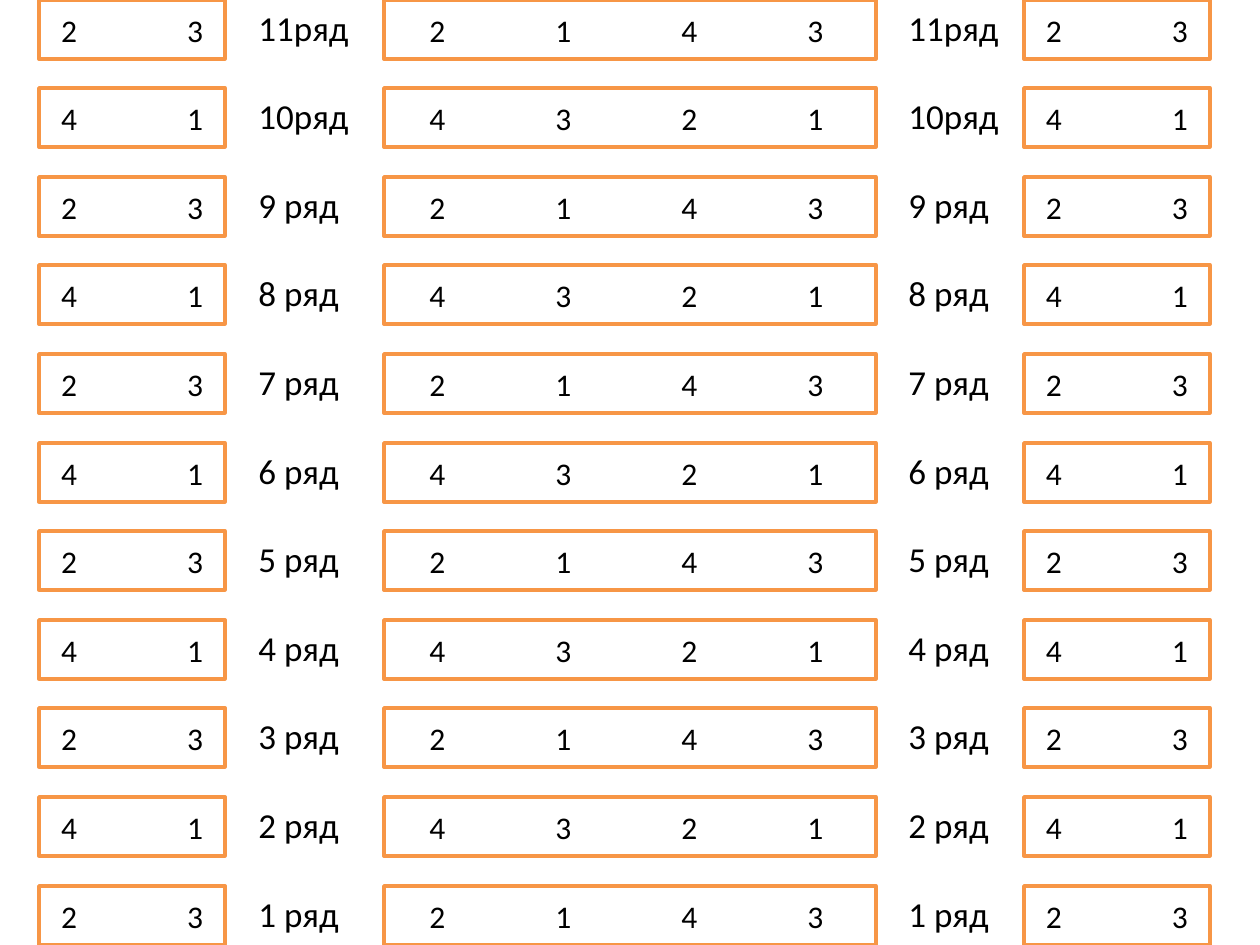
from dataclasses import dataclass

from pptx import Presentation
from pptx.dml.color import RGBColor
from pptx.enum.shapes import MSO_SHAPE as Preset
from pptx.enum.text import MSO_ANCHOR as Anchor, MSO_AUTO_SIZE as AutoSize, PP_ALIGN as Align
from pptx.slide import Slide
from pptx.text.text import TextFrame
from pptx.util import Emu, Pt

EMU_PER_PX = 914400 // 126
SLIDE_WIDTH, SLIDE_HEIGHT = 1260, 945
ROW_COUNT = 11
ROW_HEIGHT = 59
LABEL_HEIGHT = 55
LAST_ROW_TOP = SLIDE_HEIGHT - ROW_HEIGHT
SEAT_PITCH = 126


@dataclass(frozen=True)
class Theme:
    font: str = "Calibri"
    text: RGBColor = RGBColor(0x00, 0x00, 0x00)
    fill: RGBColor = RGBColor(0xFF, 0xFF, 0xFF)
    border: RGBColor = RGBColor(0xF7, 0x96, 0x46)
    border_width: Pt = Pt(2)
    seat_size: Pt = Pt(18)
    label_size: Pt = Pt(20)


@dataclass(frozen=True)
class SeatBlock:
    """A column of seat boxes whose numbering alternates by row."""
    left: int
    width: int
    odd_seats: str
    even_seats: str


THEME = Theme()
SIDE_SEATS = ("2 \t3", "4\t1")
SEAT_BLOCKS = (
    SeatBlock(39, 186, *SIDE_SEATS),
    SeatBlock(384, 492, "2 \t1 \t4 \t3 ", "4 \t3 \t2 \t1 "),
    SeatBlock(1024, 186, *SIDE_SEATS),
)
LABEL_LEFTS = (246, 896)
LABEL_WIDTH = 118


def px(length: int) -> Emu:
    return Emu(length * EMU_PER_PX)


def write(frame: TextFrame, text: str, size: Pt, align: Align) -> None:
    """Write one line whose default tab stops are one seat pitch apart."""
    frame.word_wrap = True
    line = frame.paragraphs[0]
    line.alignment = align
    line._p.get_or_add_pPr().set("defTabSz", str(px(SEAT_PITCH)))
    run = line.add_run()
    run.text = text
    run.font.name = THEME.font
    run.font.size = size
    run.font.color.rgb = THEME.text


def draw_seats(slide: Slide, block: SeatBlock, row: int, top: int) -> None:
    box = slide.shapes.add_shape(
        Preset.RECTANGLE, px(block.left), px(top), px(block.width), px(ROW_HEIGHT))
    box.shadow.inherit = False
    box.fill.solid()
    box.fill.fore_color.rgb = THEME.fill
    box.line.color.rgb = THEME.border
    box.line.width = THEME.border_width
    box.text_frame.vertical_anchor = Anchor.MIDDLE
    seats = block.odd_seats if row % 2 else block.even_seats
    write(box.text_frame, seats, THEME.seat_size, Align.CENTER)


def draw_label(slide: Slide, left: int, row: int, top: int) -> None:
    label = slide.shapes.add_textbox(px(left), px(top), px(LABEL_WIDTH), px(LABEL_HEIGHT))
    label.text_frame.auto_size = AutoSize.SHAPE_TO_FIT_TEXT
    write(label.text_frame, f"{row:<2}ряд", THEME.label_size, Align.LEFT)


def main() -> None:
    deck = Presentation()
    deck.slide_width, deck.slide_height = px(SLIDE_WIDTH), px(SLIDE_HEIGHT)
    slide = deck.slides.add_slide(deck.slide_layouts[6])
    for row in range(1, ROW_COUNT + 1):
        top = LAST_ROW_TOP * (ROW_COUNT - row) // (ROW_COUNT - 1)
        for block in SEAT_BLOCKS:
            draw_seats(slide, block, row, top)
        for left in LABEL_LEFTS:
            draw_label(slide, left, row, top)
    deck.save("out.pptx")


if __name__ == "__main__":
    main()
